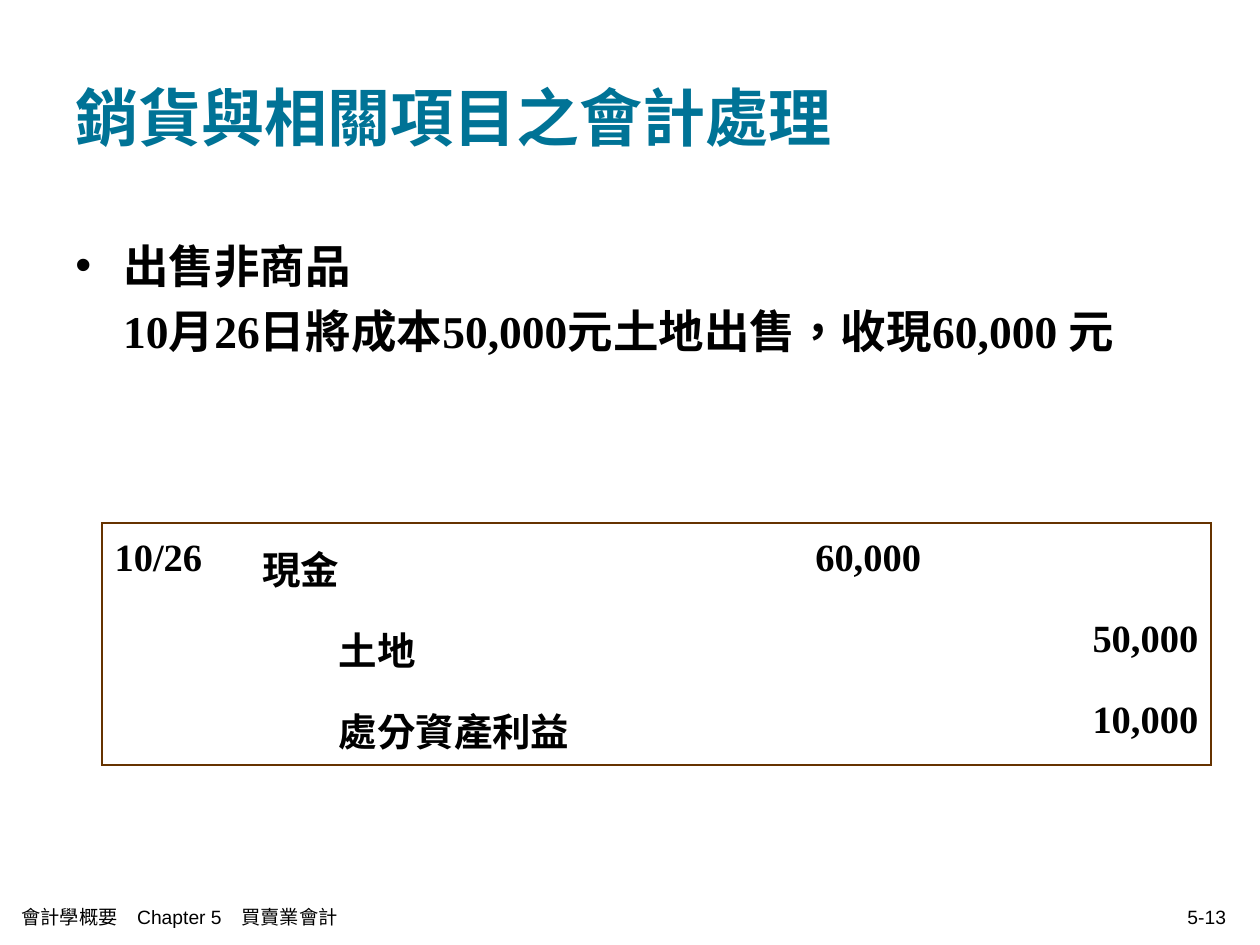
from dataclasses import dataclass

from lxml import etree
from pptx import Presentation
from pptx.dml.color import RGBColor
from pptx.enum.text import MSO_ANCHOR, PP_ALIGN
from pptx.oxml.ns import qn
from pptx.util import Emu, Pt

LEFT, RIGHT = PP_ALIGN.LEFT, PP_ALIGN.RIGHT
MIDDLE = MSO_ANCHOR.MIDDLE
TITLE_ONLY = 5
EMU_PER_PX = 9144  # 100 px to the inch
SERIF, SANS = "Times New Roman", "Arial"
TEAL, BLACK, BROWN = "007396", "000000", "663300"
BORDER_WIDTH = Pt(1.08)


@dataclass
class Style:
    font: str
    size: int
    color: str = BLACK
    bold: bool = True


@dataclass
class Entry:
    """One cell of the journal entry."""
    row: int
    col: int
    text: str
    align: PP_ALIGN = LEFT
    indent: int = 0


@dataclass
class Footer:
    left: int
    width: int
    text: str
    align: PP_ALIGN


TITLE = Style(SERIF, 36, TEAL)
BODY = Style(SERIF, 26)
JOURNAL = Style(SERIF, 22)
FOOTER = Style(SANS, 11, bold=False)

BODY_LINES = ["出售非商品", "10月26日將成本50,000元土地出售，收現60,000 元"]
COLUMNS = [117, 346, 197, 220]
ROW_COUNT, ROW_HEIGHT = 3, 64
ACCOUNT_INDENT = 61
ENTRIES = [
    Entry(0, 0, "10/26"),
    Entry(0, 1, "現金"),
    Entry(0, 2, "60,000", RIGHT),
    Entry(1, 1, "土地", indent=ACCOUNT_INDENT),
    Entry(1, 3, "50,000", RIGHT),
    Entry(2, 1, "處分資產利益", indent=ACCOUNT_INDENT),
    Entry(2, 3, "10,000", RIGHT),
]
FOOTERS = [
    Footer(7, 510, "會計學概要　Chapter 5　買賣業會計", LEFT),
    Footer(750, 233, "5-13", RIGHT),
]


def px(n: int) -> Emu:
    return Emu(n * EMU_PER_PX)


def rgb(color: str) -> RGBColor:
    return RGBColor.from_string(color)


def write(p, text: str, style: Style, align: PP_ALIGN = LEFT) -> None:
    p.text = text
    p.alignment = align
    for r in p.runs:
        r.font.name = style.font
        r.font.size = Pt(style.size)
        r.font.bold = style.bold
        r.font.color.rgb = rgb(style.color)
        r._r.get_or_add_rPr().set("lang", "zh-TW")


def set_indent(p, margin: int, first_line: int = 0) -> None:
    pPr = p._p.get_or_add_pPr()
    pPr.set("marL", str(px(margin)))
    pPr.set("indent", str(px(first_line)))


def add_text_box(s, left: int, top: int, width: int, height: int):
    tf = s.shapes.add_textbox(px(left), px(top), px(width), px(height)).text_frame
    tf.word_wrap = True
    return tf


def add_title(s, text: str) -> None:
    sp = s.shapes.title
    sp.left, sp.top, sp.width, sp.height = px(50), px(30), px(900), px(125)
    sp.text_frame.vertical_anchor = MIDDLE
    write(sp.text_frame.paragraphs[0], text, TITLE)


def add_body(s, lines: list[str]) -> None:
    """Draw a bulleted heading with its explanation aligned below."""
    tf = add_text_box(s, 50, 175, 900, 204)
    for i, line in enumerate(lines):
        p = tf.paragraphs[0] if i == 0 else tf.add_paragraph()
        write(p, line, BODY)
        p.line_spacing = 1.2
        set_indent(p, 38, -38 if i == 0 else 0)
        if i == 0:
            pPr = p._p.get_or_add_pPr()
            etree.SubElement(pPr, qn("a:buFont"), typeface=SANS)
            etree.SubElement(pPr, qn("a:buChar"), char="•")


def set_borders(cell, sides: dict[str, bool]) -> None:
    tcPr = cell._tc.get_or_add_tcPr()
    for i, (side, visible) in enumerate(sides.items()):
        ln = etree.Element(qn(f"a:ln{side}"), w=str(BORDER_WIDTH))
        if visible:
            fill = etree.SubElement(ln, qn("a:solidFill"))
            etree.SubElement(fill, qn("a:srgbClr"), val=BROWN)
        else:
            etree.SubElement(ln, qn("a:noFill"))
        tcPr.insert(i, ln)


def add_journal(s, entries: list[Entry]) -> None:
    """Draw the journal entry with a border around the whole table only."""
    frame = s.shapes.add_table(ROW_COUNT, len(COLUMNS), px(81), px(415),
                               px(sum(COLUMNS)), px(ROW_COUNT * ROW_HEIGHT))
    table = frame.table
    table.first_row = table.horz_banding = False
    for column, width in zip(table.columns, COLUMNS):
        column.width = px(width)
    for i, row in enumerate(table.rows):
        row.height = px(ROW_HEIGHT)
        for j, cell in enumerate(row.cells):
            cell.fill.background()
            set_borders(cell, {"L": j == 0, "R": j == len(COLUMNS) - 1,
                               "T": i == 0, "B": i == ROW_COUNT - 1})
    for entry in entries:
        p = table.cell(entry.row, entry.col).text_frame.paragraphs[0]
        write(p, entry.text, JOURNAL, entry.align)
        p.line_spacing = 1.2
        set_indent(p, entry.indent)


def add_footer(s, footer: Footer) -> None:
    tf = add_text_box(s, footer.left, 711, footer.width, 33)
    tf.vertical_anchor = MIDDLE
    write(tf.paragraphs[0], footer.text, FOOTER, footer.align)


def main() -> None:
    prs = Presentation()
    prs.slide_width, prs.slide_height = px(1000), px(750)
    s = prs.slides.add_slide(prs.slide_layouts[TITLE_ONLY])
    add_title(s, "銷貨與相關項目之會計處理")
    add_body(s, BODY_LINES)
    add_journal(s, ENTRIES)
    for footer in FOOTERS:
        add_footer(s, footer)
    prs.save("out.pptx")


if __name__ == "__main__":
    main()
